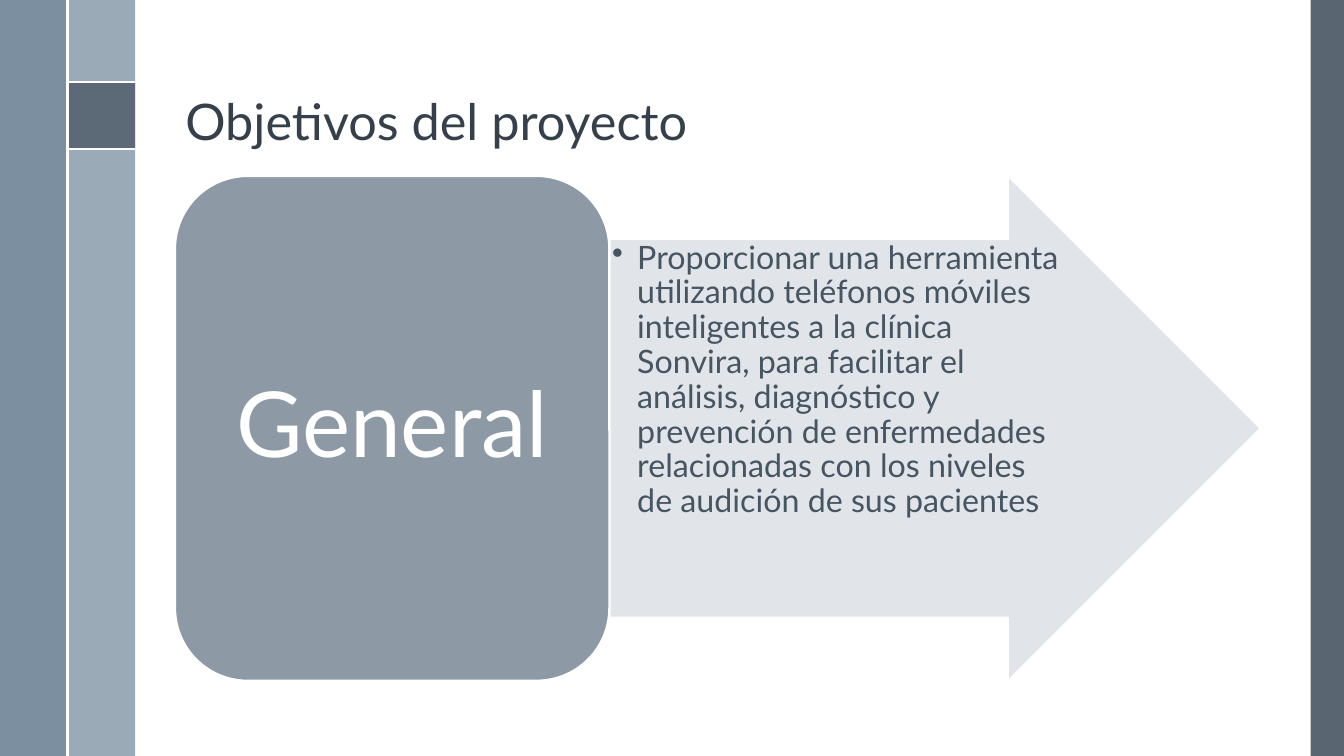
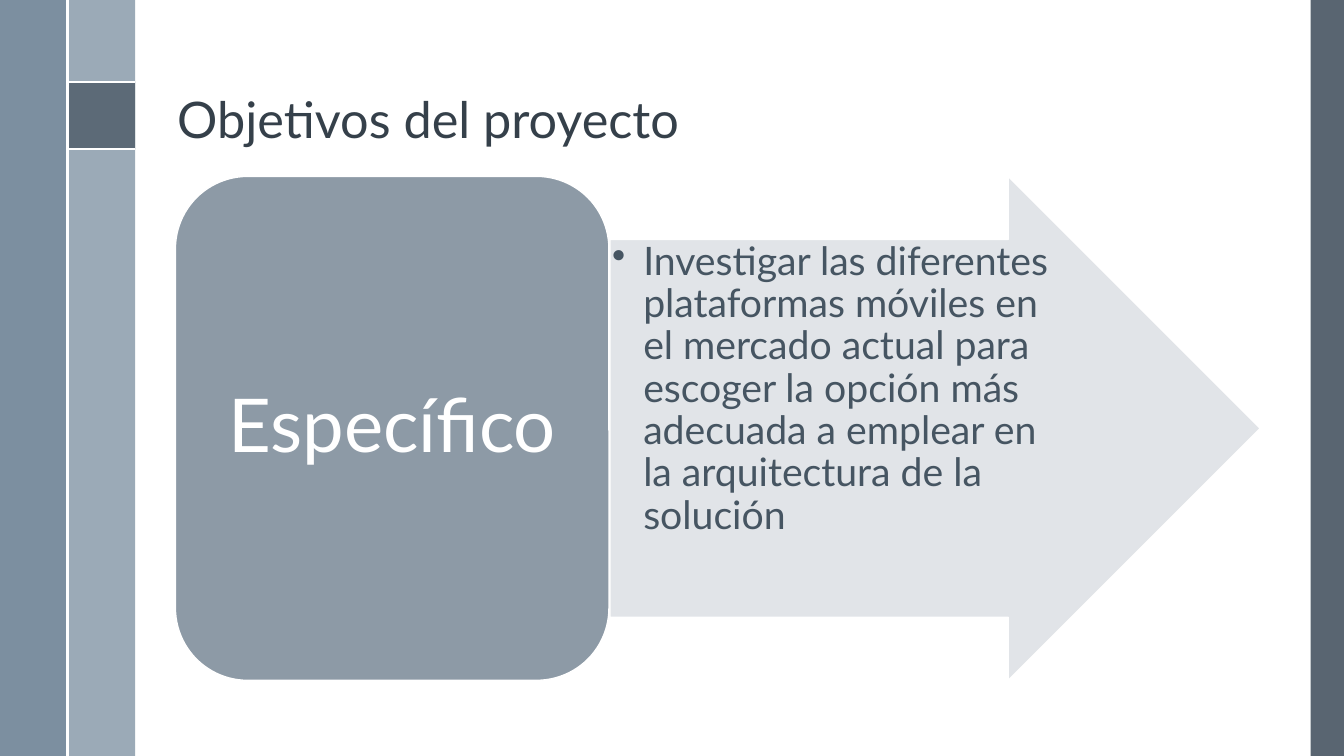
import dataclasses

import lxml.etree
import pptx
import pptx.dml.color
import pptx.enum.shapes
import pptx.enum.text
import pptx.oxml.ns
import pptx.util

Inches = pptx.util.Inches
Pt = pptx.util.Pt
SHAPE = pptx.enum.shapes.MSO_SHAPE
ANCHOR = pptx.enum.text.MSO_ANCHOR
ALIGN = pptx.enum.text.PP_ALIGN
qn = pptx.oxml.ns.qn


@dataclasses.dataclass(frozen=True)
class Theme:
    font: str = "Lato"
    title: str = "35404A"
    body: str = "465562"
    white: str = "FFFFFF"
    dark_band: str = "475562"
    left_band: str = "6A8093"
    inner_band: str = "9BAAB7"
    label_box: str = "8D9AA6"
    arrow: str = "DEE2E6"
    title_size: float = 36
    rule_width: float = 1.5
    outline_width: float = 1
    line_spacing: float = 0.9


@dataclasses.dataclass(frozen=True)
class Objective:
    label: str
    label_size: float
    label_insets: tuple
    statement: str
    statement_size: float
    bullet_indent: float
    title_at: tuple


THEME = Theme()
SLIDE_WIDTH, SLIDE_HEIGHT = 13.33, 7.5
BAND = 0.67
MARKER_TOP = 0.81
TITLE = "Objetivos del proyecto"

OBJECTIVES = [
    Objective(
        "General", 65, (0.27, 0.14),
        "Proporcionar una herramienta utilizando teléfonos móviles "
        "inteligentes a la clínica Sonvira, para facilitar el análisis, "
        "diagnóstico y prevención de enfermedades relacionadas con los "
        "niveles de audición de sus pacientes",
        23, 0.25, (1.74, 0.19)),
    Objective(
        "Específico", 53, (0.22, 0.11),
        "Investigar las diferentes plataformas móviles en el mercado actual "
        "para escoger la opción más adecuada a emplear en la arquitectura de "
        "la solución",
        28, 0.31, (1.66, 0.17)),
]


def rgb(color):
    return pptx.dml.color.RGBColor.from_string(color)


def add_block(slide, kind, box, color, opacity=100, outlined=False):
    """Filled preset shape, optionally translucent or outlined in white."""
    block = slide.shapes.add_shape(kind, *map(Inches, box))
    block.shadow.inherit = False
    block.fill.solid()
    block.fill.fore_color.rgb = rgb(color)
    if opacity < 100:
        tint = block.fill._xPr.find(qn("a:solidFill"))[0]
        lxml.etree.SubElement(tint, qn("a:alpha"), val=str(opacity * 1000))
    if outlined:
        block.line.color.rgb = rgb(THEME.white)
        block.line.width = Pt(THEME.outline_width)
    else:
        block.line.fill.background()
    return block


def add_rule(slide, start, end):
    rule = slide.shapes.add_connector(
        pptx.enum.shapes.MSO_CONNECTOR.STRAIGHT,
        *map(Inches, start + end))
    rule.line.color.rgb = rgb(THEME.white)
    rule.line.width = Pt(THEME.rule_width)
    lxml.etree.SubElement(rule._element.spPr, qn("a:effectLst"))


def write(holder, words, size, color, anchor, insets, align=ALIGN.LEFT):
    """Put one styled paragraph in a shape and return the paragraph."""
    frame = holder.text_frame
    frame.word_wrap = True
    frame.vertical_anchor = anchor
    frame.margin_left = frame.margin_right = Inches(insets[0])
    frame.margin_top = frame.margin_bottom = Inches(insets[1])
    paragraph = frame.paragraphs[0]
    paragraph.alignment = align
    paragraph.line_spacing = THEME.line_spacing
    run = paragraph.add_run()
    run.text = words
    run.font.name = THEME.font
    run.font.size = Pt(size)
    run.font.color.rgb = rgb(color)
    return paragraph


def add_bullet(paragraph, indent):
    properties = paragraph._p.get_or_add_pPr()
    properties.set("marL", str(Inches(indent)))
    properties.set("indent", str(-Inches(indent)))
    lxml.etree.SubElement(properties, qn("a:buChar"), char="•")


def add_frame(slide):
    """Side bands, marker square and white rules shared by all slides."""
    bands = [
        ((13, 0, SLIDE_WIDTH - 13, SLIDE_HEIGHT), THEME.dark_band, 90),
        ((BAND, 0, BAND, SLIDE_HEIGHT), THEME.inner_band, 100),
        ((0, 0, BAND, SLIDE_HEIGHT), THEME.left_band, 88),
        ((BAND, MARKER_TOP, BAND, BAND), THEME.dark_band, 75),
    ]
    for box, color, opacity in bands:
        add_block(slide, SHAPE.RECTANGLE, box, color, opacity)
    for y in (MARKER_TOP, MARKER_TOP + BAND):
        add_rule(slide, (BAND, y), (2 * BAND, y))
    add_rule(slide, (BAND, 0), (BAND, SLIDE_HEIGHT))


def add_title(slide, position):
    title = slide.shapes.add_textbox(*map(Inches, position + (10.7, 1.36)))
    write(title, TITLE, THEME.title_size, THEME.title,
          ANCHOR.BOTTOM, (0.1, 0.05))


def add_objective(slide, objective):
    """Arrow with the statement, then the rounded box with its label."""
    arrow = add_block(slide, SHAPE.RIGHT_ARROW, (6.05, 1.75, 6.45, 5),
                      THEME.arrow, 90, outlined=True)
    arrow.adjustments[0] = 0.75
    arrow.adjustments[1] = 0.5
    statement = write(arrow, objective.statement, objective.statement_size,
                      THEME.body, ANCHOR.TOP, (0.02, 0.02))
    add_bullet(statement, objective.bullet_indent)

    label = add_block(slide, SHAPE.ROUNDED_RECTANGLE, (1.74, 1.75, 4.3, 5),
                      THEME.label_box, outlined=True)
    write(label, objective.label, objective.label_size, THEME.white,
          ANCHOR.MIDDLE, objective.label_insets, ALIGN.CENTER)


def main():
    deck = pptx.Presentation()
    deck.slide_width = Inches(SLIDE_WIDTH)
    deck.slide_height = Inches(SLIDE_HEIGHT)
    for objective in OBJECTIVES:
        slide = deck.slides.add_slide(deck.slide_layouts[6])
        add_frame(slide)
        add_title(slide, objective.title_at)
        add_objective(slide, objective)
    deck.save("out.pptx")


if __name__ == "__main__":
    main()
